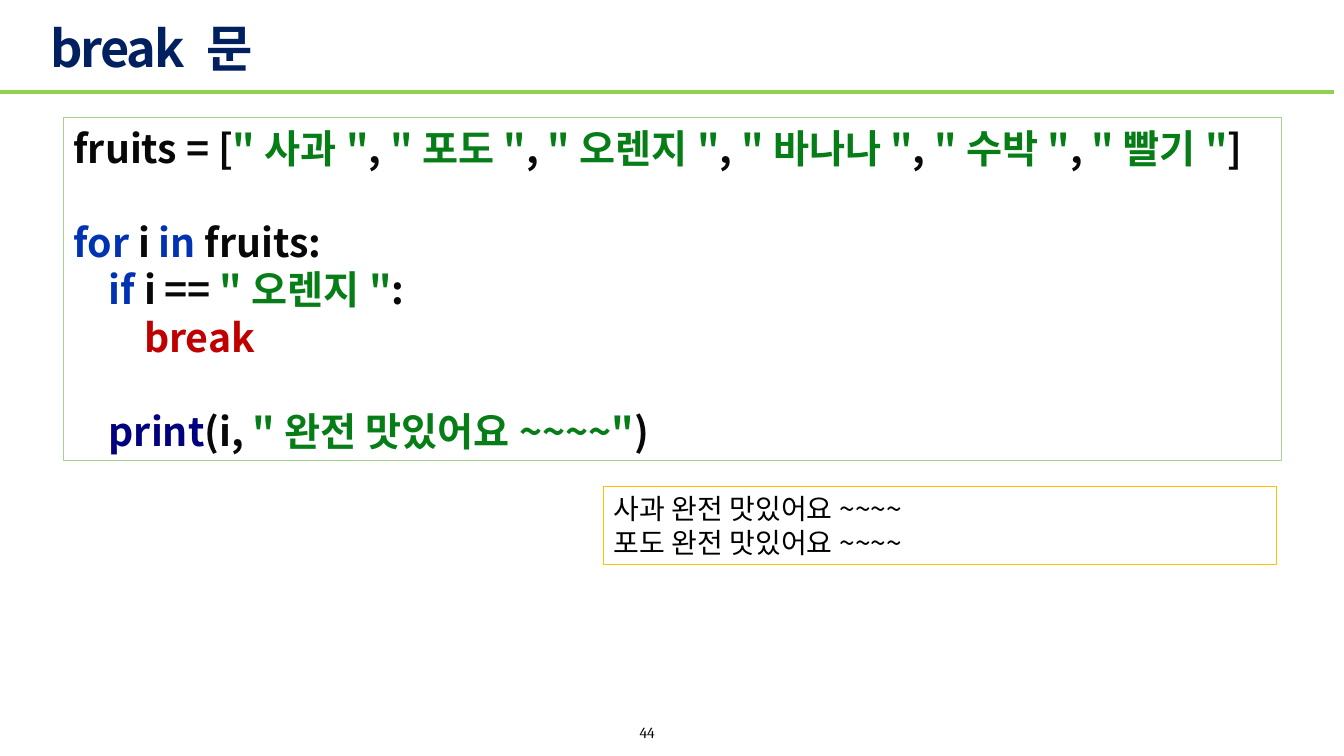
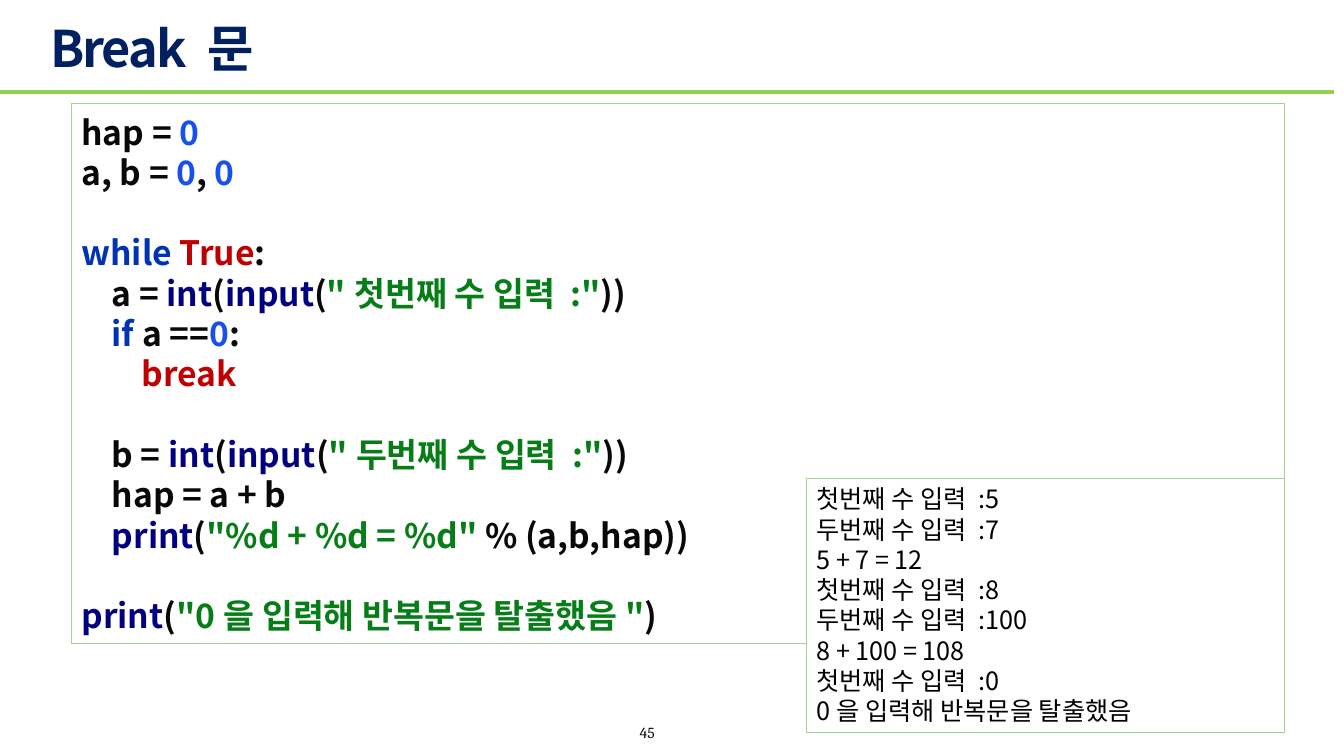
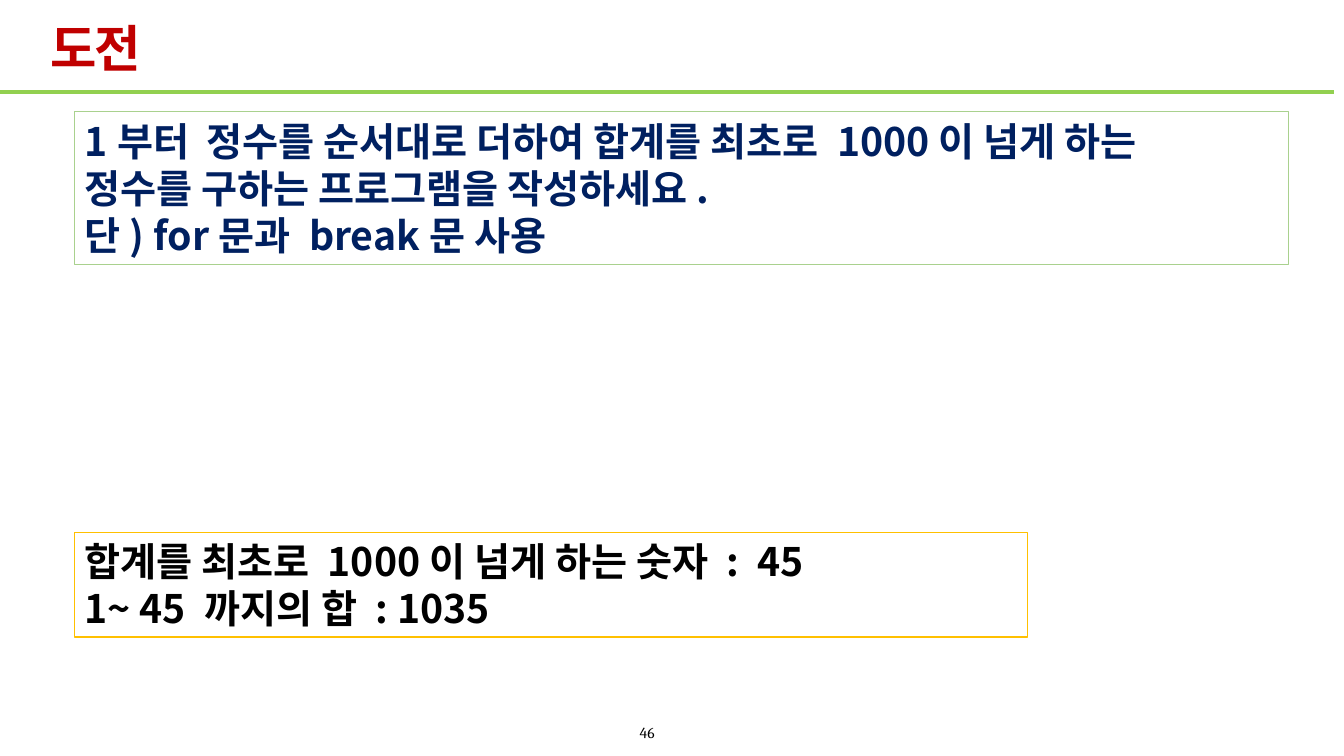
from lxml import etree
from pptx import Presentation
from pptx.dml.color import RGBColor
from pptx.enum.shapes import MSO_CONNECTOR, MSO_SHAPE
from pptx.enum.text import MSO_ANCHOR, MSO_AUTO_SIZE, PP_ALIGN
from pptx.oxml.ns import qn
from pptx.util import Inches, Pt

RECTANGLE = MSO_SHAPE.RECTANGLE
STRAIGHT = MSO_CONNECTOR.STRAIGHT
TOP, MIDDLE = MSO_ANCHOR.TOP, MSO_ANCHOR.MIDDLE
LEFT, CENTER = PP_ALIGN.LEFT, PP_ALIGN.CENTER
NO_AUTOSIZE = MSO_AUTO_SIZE.NONE

FONT, NUMBER_FONT = "Noto Sans CJK KR", "Cambria"
NAVY, RED, BLACK, WHITE = "002060", "C00000", "000000", "FFFFFF"
GREEN, YELLOW, RULE = "A9D18E", "FFC000", "92D050"
PLAIN, STRING, KEYWORD = "080808", "067D17", "0033B3"
BUILTIN, NUMBER = "000080", "1750EB"

FIRST_PAGE = 44
LINE_HEIGHT = 1.2   # of the text size
INDENT_WIDTH = 0.9  # of the text size, per code level


def rgb(value):
    return RGBColor.from_string(value)


def add_span(para, text, size, colour, bold=False, name=FONT):
    span = para.add_run()
    span.text = text
    font = span.font
    font.name, font.size, font.bold = name, Pt(size), bold
    font.color.rgb = rgb(colour)
    return span


def set_title(page, text, colour):
    title = page.shapes.title
    title.left, title.top = Inches(0.4), Inches(0.21)
    title.width, title.height = Inches(7.43), Inches(0.59)
    frame = title.text_frame
    frame.auto_size, frame.vertical_anchor = NO_AUTOSIZE, MIDDLE
    para = frame.paragraphs[0]
    para.alignment, para.line_spacing = LEFT, 0.9
    span = add_span(para, text, 36, colour, True)
    span.font._element.set("spc", "-150")


def add_rule(page):
    rule = page.shapes.add_connector(
        STRAIGHT, 0, Inches(0.91), Inches(13.23), Inches(0.91))
    rule.line.color.rgb = rgb(RULE)
    rule.line.width = Pt(3)
    etree.SubElement(rule._element.spPr, qn("a:effectLst"))


def add_page_number(page, number):
    box = page.shapes.add_textbox(
        Inches(6.08), Inches(7.11), Inches(0.68), Inches(0.31))
    box.rotation = 1
    frame = box.text_frame
    frame.word_wrap, frame.vertical_anchor = True, MIDDLE
    para = frame.paragraphs[0]
    para.alignment = CENTER
    field = add_span(para, str(number), 11, BLACK, name=NUMBER_FONT)._r
    field.tag = qn("a:fld")
    field.set("id", "{B6F15528-21DE-4FAA-801E-634DDDAF4B2B}")
    field.set("type", "slidenum")


def add_page(deck, title, colour=NAVY):
    page = deck.slides.add_slide(deck.slide_layouts[5])
    set_title(page, title, colour)
    add_rule(page)
    add_page_number(page, FIRST_PAGE + len(deck.slides) - 1)
    return page


def add_box(page, place, border, filled, anchor=TOP):
    """Add an outlined box, white or unfilled, and return its text frame."""
    box = page.shapes.add_shape(RECTANGLE, *map(Inches, place))
    box.shadow.inherit = False
    if filled:
        box.fill.solid()
        box.fill.fore_color.rgb = rgb(WHITE)
    else:
        box.fill.background()
    box.line.color.rgb = rgb(border)
    box.line.width = Pt(0.75)
    frame = box.text_frame
    frame.word_wrap, frame.vertical_anchor = True, anchor
    return frame


def add_paragraph(frame, index):
    para = frame.add_paragraph() if index else frame.paragraphs[0]
    para.alignment = LEFT
    return para


def add_text_box(page, place, border, lines, size, colour=BLACK, bold=False,
                 filled=False):
    frame = add_box(page, place, border, filled)
    for index, line in enumerate(lines):
        add_span(add_paragraph(frame, index), line, size, colour, bold)


def add_code_box(page, place, blocks, size, filled=False):
    """Blocks are parted by one line; each line is (level, *(text, colour))."""
    frame = add_box(page, place, GREEN, filled, MIDDLE)
    count = 0
    for block in blocks:
        for row, (level, *spans) in enumerate(block):
            para = add_paragraph(frame, count)
            if count and row == 0:
                para.space_before = Pt(size * LINE_HEIGHT)
            margin = Pt(size * INDENT_WIDTH * level)
            para._p.get_or_add_pPr().set("marL", str(margin))
            for text, colour in spans:
                add_span(para, text, size, colour, True)
            count += 1


def list_spans(items):
    """Return the spans of a Python list of strings."""
    spans = [("fruits = [", PLAIN)]
    for index, item in enumerate(items):
        if index:
            spans.append((", ", PLAIN))
        spans.append((f'"{item}"', STRING))
    return spans + [("]", PLAIN)]


def input_line(name, prompt):
    return (1, (f"{name} = ", PLAIN), ("int", BUILTIN), ("(", PLAIN),
            ("input", BUILTIN), ("(", PLAIN), (f'"{prompt}"', STRING),
            ("))", PLAIN))


def build_for_page(deck):
    page = add_page(deck, "break 문")
    fruits = ["사과", "포도", "오렌지", "바나나", "수박", "빨기"]
    add_code_box(page, (0.63, 1.17, 12.08, 3.4), [
        [(0, *list_spans(fruits))],
        [(0, ("for ", KEYWORD), ("i ", PLAIN), ("in ", KEYWORD),
          ("fruits:", PLAIN)),
         (1, ("if ", KEYWORD), ("i == ", PLAIN), ('"오렌지"', STRING),
          (":", PLAIN)),
         (2, ("break", RED))],
        [(1, ("print", BUILTIN), ("(i, ", PLAIN),
          ('"완전 맛있어요~~~~"', STRING), (")", PLAIN))],
    ], 28)
    output = [f"{fruit} 완전 맛있어요~~~~" for fruit in fruits[:2]]
    add_text_box(page, (5.99, 4.83, 6.67, 0.77), YELLOW, output, 20)


def build_while_page(deck):
    page = add_page(deck, "Break 문")
    first, second = "첫번째 수 입력 :", "두번째 수 입력 :"
    farewell = "0을 입력해 반복문을 탈출했음"
    add_code_box(page, (0.71, 1.03, 12.03, 5.35), [
        [(0, ("hap = ", PLAIN), ("0", NUMBER)),
         (0, ("a, b = ", PLAIN), ("0", NUMBER), (", ", PLAIN),
          ("0", NUMBER))],
        [(0, ("while ", KEYWORD), ("True", RED), (":", PLAIN)),
         input_line("a", first),
         (1, ("if ", KEYWORD), ("a ==", PLAIN), ("0", NUMBER),
          (":", PLAIN)),
         (2, ("break", RED))],
        [input_line("b", second),
         (1, ("hap = a + b", PLAIN)),
         (1, ("print", BUILTIN), ("(", PLAIN),
          ('"%d + %d = %d" ', STRING), ("% (a,b,hap))", PLAIN))],
        [(0, ("print", BUILTIN), ("(", PLAIN), (f'"{farewell}"', STRING),
          (")", PLAIN))],
    ], 24, filled=True)
    output = []
    for a, b in [(5, 7), (8, 100)]:
        output += [f"{first}{a}", f"{second}{b}", f"{a} + {b} = {a + b}"]
    output += [f"{first}0", farewell]
    add_text_box(page, (8, 4.75, 4.74, 2.52), GREEN, output, 18, filled=True)


def build_challenge_page(deck):
    page = add_page(deck, "도전", RED)
    add_text_box(page, (0.74, 5.28, 9.45, 1.04), YELLOW, [
        "합계를 최초로 1000이 넘게 하는 숫자 :  45",
        "1~ 45 까지의 합 : 1035",
    ], 28, bold=True)
    add_text_box(page, (0.74, 1.11, 12.04, 1.51), GREEN, [
        "1부터  정수를 순서대로 더하여 합계를 최초로 1000이 넘게 하는",
        "정수를 구하는 프로그램을 작성하세요.",
        "단) for문과 break문 사용",
    ], 28, NAVY, True)


def main():
    deck = Presentation()
    deck.slide_width, deck.slide_height = Inches(13.33), Inches(7.5)
    deck.element.set("firstSlideNum", str(FIRST_PAGE))
    build_for_page(deck)
    build_while_page(deck)
    build_challenge_page(deck)
    deck.save("out.pptx")


if __name__ == "__main__":
    main()
